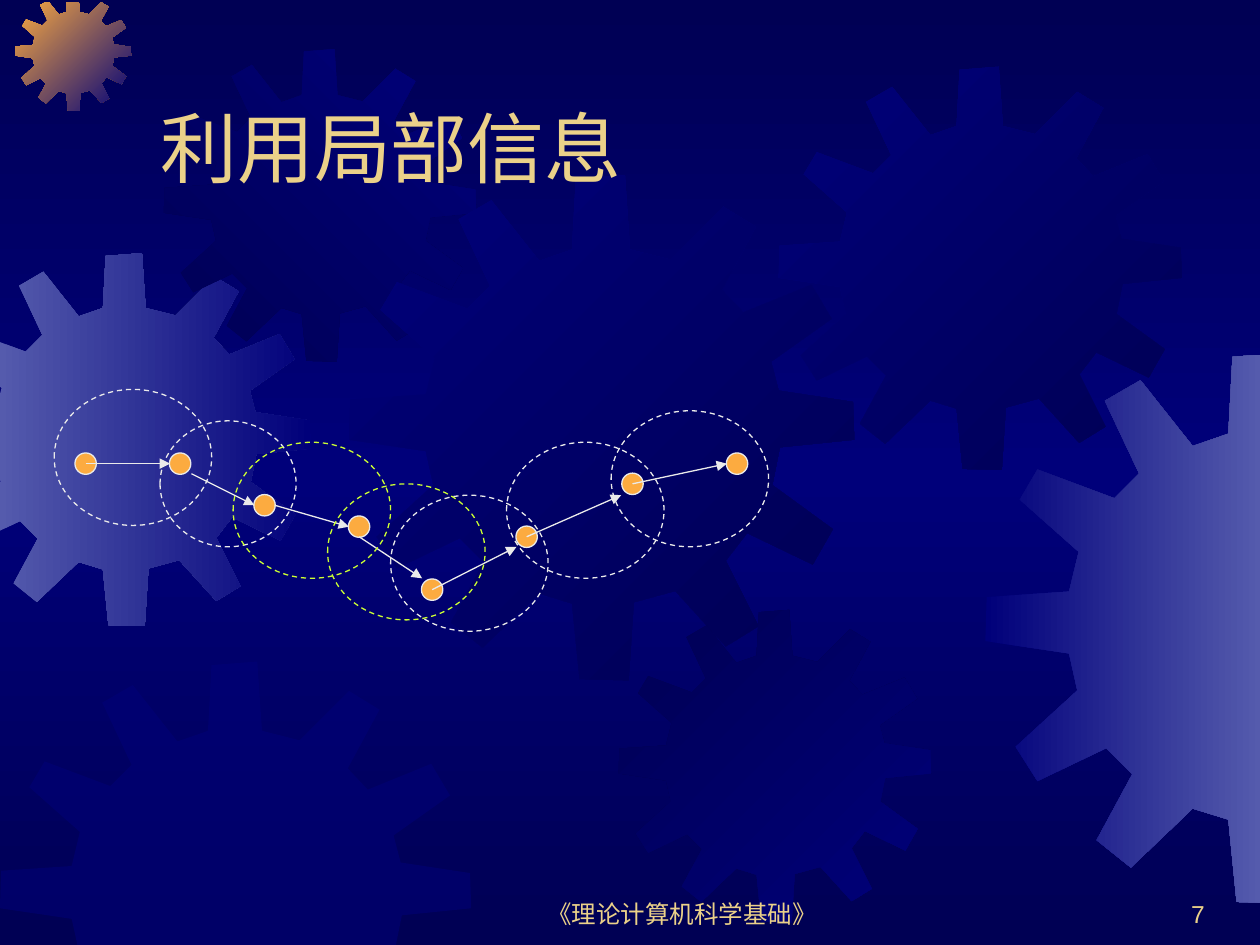
from copy import deepcopy
from typing import NamedTuple, Optional

from lxml import etree
from pptx import Presentation
from pptx.dml.color import RGBColor
from pptx.enum.dml import MSO_LINE
from pptx.enum.shapes import MSO_CONNECTOR, MSO_SHAPE
from pptx.enum.text import MSO_ANCHOR, PP_ALIGN
from pptx.oxml.ns import qn
from pptx.util import Inches, Pt

OVAL, STRAIGHT, DASH = MSO_SHAPE.OVAL, MSO_CONNECTOR.STRAIGHT, MSO_LINE.DASH
BOTTOM = MSO_ANCHOR.BOTTOM
LEFT, CENTER, RIGHT = PP_ALIGN.LEFT, PP_ALIGN.CENTER, PP_ALIGN.RIGHT


class Theme:
    font = "Arial"
    title_size, footer_size = Pt(44), Pt(14)
    line_width = Pt(0.75)
    text = "EBD189"
    dark, blue, pale = "000054", "00007A", "555BAD"
    orange, white, lime = "FCAB40", "EAEAEA", "CCFF33"


class Gear(NamedTuple):
    left: float
    top: float
    size: float
    start: str
    end: str
    angle: int = 0  # clockwise
    alpha: Optional[int] = None  # percent, makes the fill solid


class Range(NamedTuple):
    left: float
    top: float
    width: float = 1.25
    height: float = 1.08
    color: str = Theme.white


# Twelve-toothed outline in a square of GEAR_SIZE units
GEAR_SIZE = 401
GEAR_OUTLINE = [
    (255, 67), (223, 59), (219, 0), (180, 3), (177, 59), (151, 68), (113, 20), (87, 35),
    (112, 88), (94, 106), (38, 85), (25, 107), (68, 145), (61, 174), (1, 178), (0, 210),
    (61, 219), (67, 246), (22, 287), (38, 312), (88, 288), (107, 307), (81, 355), (106, 375),
    (151, 332), (177, 340), (183, 400), (222, 401), (226, 339), (259, 330), (299, 374), (325, 358),
    (299, 306), (316, 284), (368, 309), (384, 281), (336, 246), (342, 216), (401, 210), (400, 180),
    (341, 171), (335, 148), (383, 114), (367, 87), (313, 109), (296, 91), (323, 41), (297, 25),
]
# (axis, limit, side kept): x >= -0.01, x <= 10.01, y >= 0.02, y <= 7.54
SLIDE_EDGES = [(0, -0.01, 1), (0, 10.01, -1), (1, 0.02, 1), (1, 7.54, -1)]

GEARS = [
    Gear(-0.49, 2.01, 2.96, Theme.pale, Theme.blue),
    Gear(0.12, -0.04, 0.92, Theme.orange, Theme.blue, 45),
    Gear(1.3, 0.39, 2.48, Theme.dark, Theme.blue, 315),
    Gear(2.77, 1.39, 4.01, Theme.blue, Theme.dark, 45),
    Gear(0, 5.25, 3.74, Theme.blue, Theme.blue, alpha=50),
    Gear(4.91, 4.84, 2.48, Theme.dark, Theme.blue, 45),
    Gear(6.18, 0.53, 3.2, Theme.blue, Theme.dark, 45),
    Gear(7.82, 2.8, 4.37, Theme.blue, Theme.pale),
]

DOT_SIZE = 0.17
DOT_CENTERS = [(0.68, 3.68), (1.43, 3.68), (2.1, 4.01), (2.85, 4.18),
               (3.43, 4.68), (4.18, 4.26), (5.02, 3.84), (5.85, 3.68)]
ARROWS = [
    (0.68, 3.68, 1.35, 3.68), (1.52, 3.76, 2.02, 4.01), (2.18, 4.01, 2.77, 4.18),
    (2.85, 4.26, 3.35, 4.59), (3.43, 4.68, 4.1, 4.34), (4.18, 4.26, 4.93, 3.93),
    (5.02, 3.84, 5.77, 3.68),
]
RANGES = [
    Range(1.27, 3.34, 1.08, 1), Range(3.1, 3.93), Range(0.43, 3.09),
    Range(1.85, 3.51, color=Theme.lime), Range(2.6, 3.84, color=Theme.lime),
    Range(4.02, 3.51), Range(4.85, 3.26),
]


def rgb(color: str) -> RGBColor:
    return RGBColor.from_string(color)


def clip(points: list, axis: int, limit: float, side: int) -> list:
    """Cut a closed outline at one straight slide edge."""
    kept = []
    for a, b in zip(points, points[1:] + points[:1]):
        da, db = side * (a[axis] - limit), side * (b[axis] - limit)
        if da >= 0:
            kept.append(a)
        if da * db < 0:
            t = da / (da - db)
            kept.append((a[0] + t * (b[0] - a[0]), a[1] + t * (b[1] - a[1])))
    return kept


def set_gradient(fill, start: str, end: str, angle: int) -> None:
    fill.gradient()
    fill.gradient_angle = (360 - angle) % 360
    for stop, color, position in zip(fill.gradient_stops, (start, end), (0, 1)):
        stop.color.rgb = rgb(color)
        stop.position = position


def set_background(s) -> None:
    """Dark at top and bottom, lighter in the middle."""
    fill = s.background.fill
    set_gradient(fill, Theme.dark, Theme.blue, 90)
    stops = s.background._cSld.find(".//" + qn("a:gsLst"))
    stops.append(deepcopy(stops[0]))
    for stop, position in zip(fill.gradient_stops, (0, 0.5, 1)):
        stop.position = position


def add_gear(s, gear: Gear) -> None:
    unit = gear.size / GEAR_SIZE
    points = [(gear.left + x * unit, gear.top + y * unit) for x, y in GEAR_OUTLINE]
    for edge in SLIDE_EDGES:
        points = clip(points, *edge)
    first, *rest = [(Inches(x), Inches(y)) for x, y in points]
    builder = s.shapes.build_freeform(*first)
    builder.add_line_segments(rest, close=True)
    sp = builder.convert_to_shape()
    sp.shadow.inherit = False
    sp.line.fill.background()
    if gear.alpha is None:
        set_gradient(sp.fill, gear.start, gear.end, gear.angle)
    else:
        sp.fill.solid()
        sp.fill.fore_color.rgb = rgb(gear.start)
        color = sp._element.spPr.find(".//" + qn("a:srgbClr"))
        etree.SubElement(color, qn("a:alpha"), val=str(gear.alpha * 1000))


def set_line(line, color: str) -> None:
    line.color.rgb = rgb(color)
    line.width = Theme.line_width


def add_oval(s, left: float, top: float, width: float, height: float, color: str):
    sp = s.shapes.add_shape(OVAL, Inches(left), Inches(top), Inches(width), Inches(height))
    sp.shadow.inherit = False
    set_line(sp.line, color)
    return sp


def add_dot(s, x: float, y: float) -> None:
    sp = add_oval(s, x - DOT_SIZE / 2, y - DOT_SIZE / 2, DOT_SIZE, DOT_SIZE, Theme.white)
    sp.fill.solid()
    sp.fill.fore_color.rgb = rgb(Theme.orange)


def add_range(s, area: Range) -> None:
    sp = add_oval(s, *area)
    sp.fill.background()
    sp.line.dash_style = DASH


def add_arrow(s, x1: float, y1: float, x2: float, y2: float) -> None:
    sp = s.shapes.add_connector(STRAIGHT, Inches(x1), Inches(y1), Inches(x2), Inches(y2))
    set_line(sp.line, Theme.white)
    etree.SubElement(sp.line._get_or_add_ln(), qn("a:tailEnd"), type="triangle")
    etree.SubElement(sp._element.spPr, qn("a:effectLst"))


def write(sp, text: str, size: Pt, align: PP_ALIGN) -> None:
    tf = sp.text_frame
    tf.text = text
    tf.word_wrap = True
    tf.vertical_anchor = BOTTOM
    p = tf.paragraphs[0]
    p.alignment = align
    font = p.runs[0].font
    font.name, font.size = Theme.font, size
    font.color.rgb = rgb(Theme.text)


def add_footer(s, left: float, width: float, text: str, align: PP_ALIGN) -> None:
    sp = s.shapes.add_textbox(Inches(left), Inches(6.92), Inches(width), Inches(0.5))
    write(sp, text, Theme.footer_size, align)


def place_title(s, text: str) -> None:
    sp = s.shapes.title
    sp.left, sp.top, sp.width, sp.height = Inches(1.17), Inches(0.33), Inches(8.5), Inches(1.25)
    write(sp, text, Theme.title_size, LEFT)
    s.shapes._spTree.append(sp._element)  # in front of the gears


def main() -> None:
    prs = Presentation()
    prs.slide_width, prs.slide_height = Inches(10), Inches(7.5)
    s = prs.slides.add_slide(prs.slide_layouts[5])
    set_background(s)
    for gear in GEARS:
        add_gear(s, gear)
    add_footer(s, 3.83, 3.17, "《理论计算机科学基础》", CENTER)
    add_footer(s, 7.58, 2.08, "7", RIGHT)
    place_title(s, "利用局部信息")
    for center in DOT_CENTERS:
        add_dot(s, *center)
    for arrow in ARROWS:
        add_arrow(s, *arrow)
    for area in RANGES:
        add_range(s, area)
    prs.save("out.pptx")


if __name__ == "__main__":
    main()
